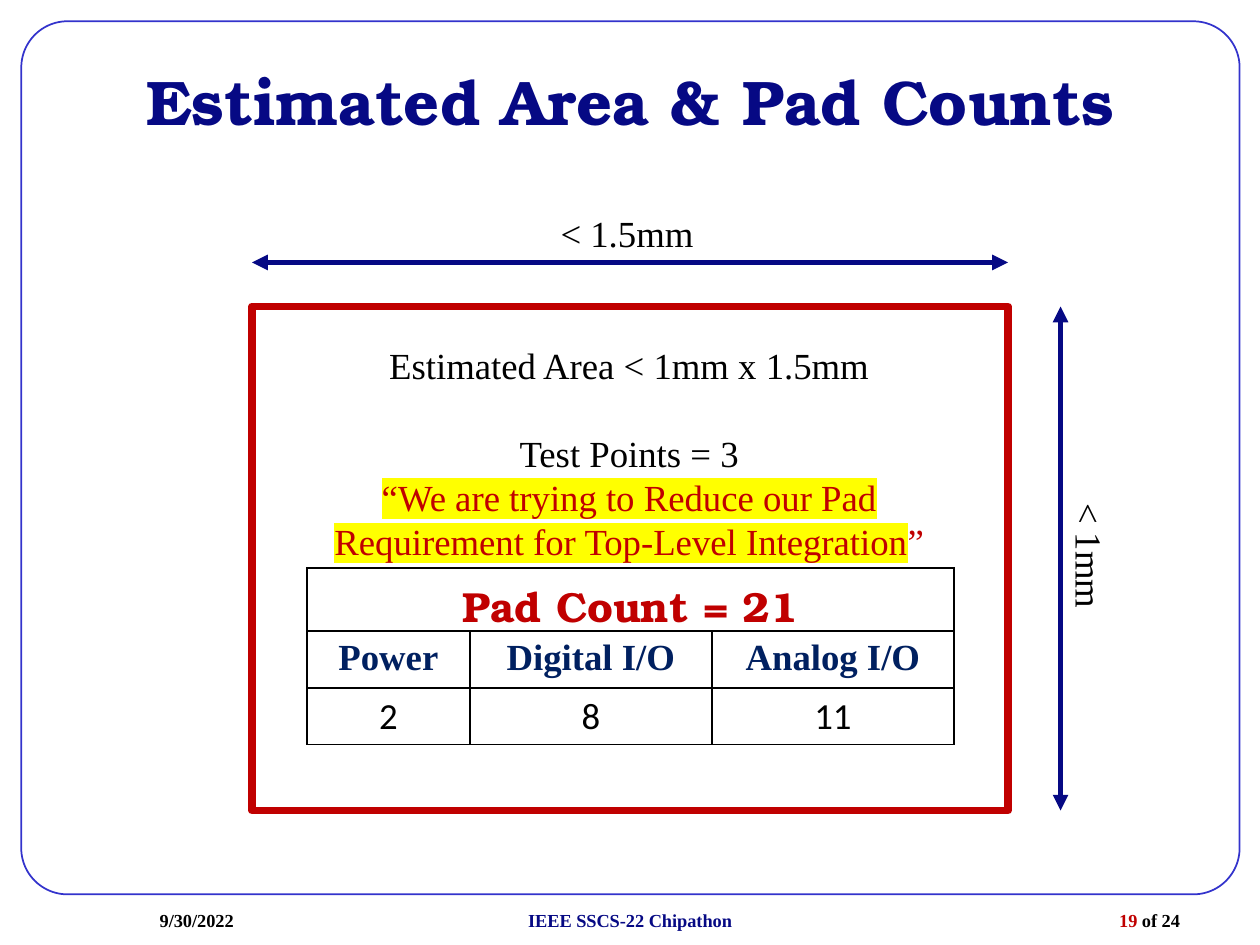
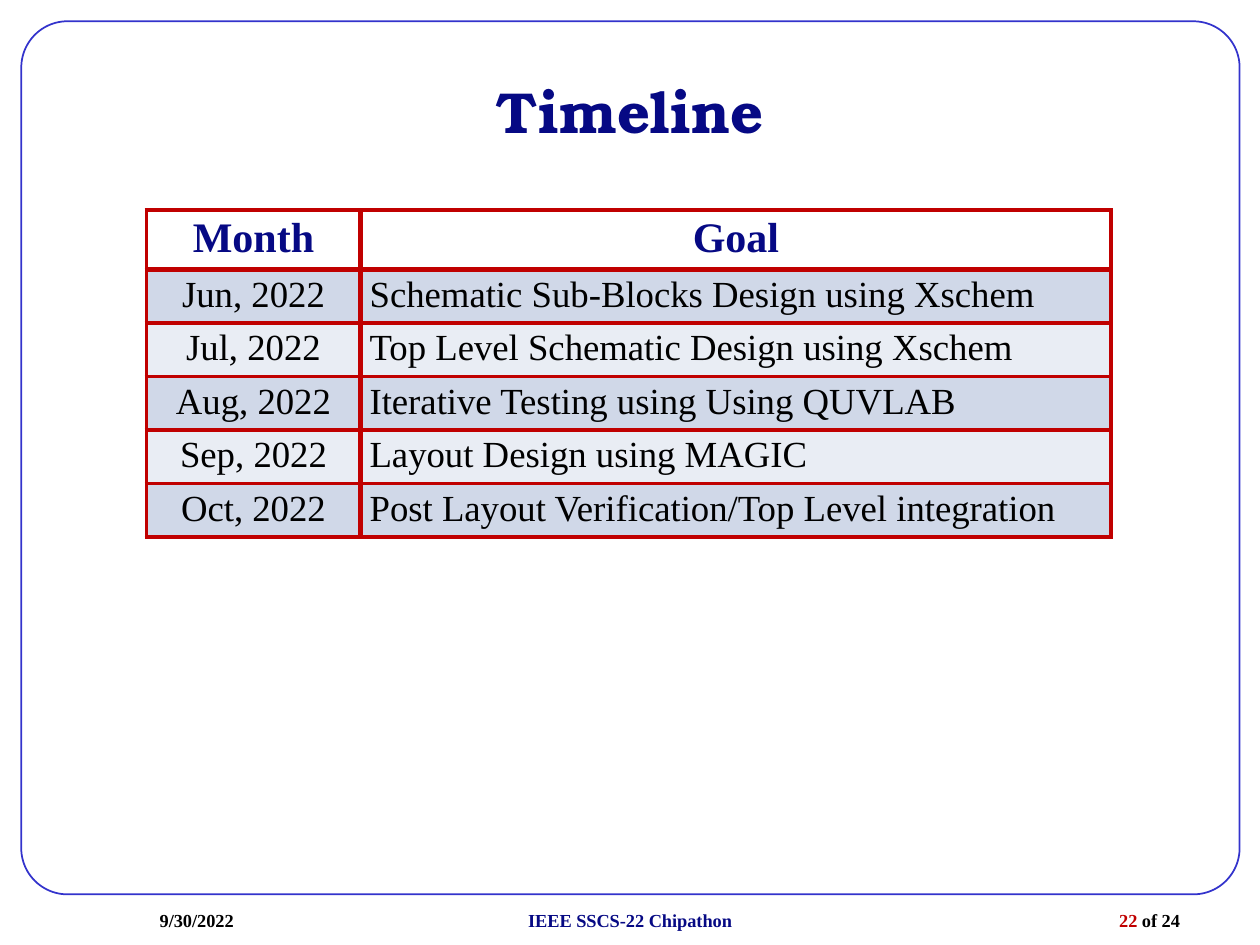
"""Build the area estimate and timeline slides of the chip design deck."""
from dataclasses import dataclass, replace
from typing import Any, NamedTuple, Optional

from lxml.etree import SubElement
from pptx import Presentation
from pptx.dml.color import RGBColor
from pptx.enum.shapes import MSO_CONNECTOR as Connector, MSO_SHAPE as Preset
from pptx.enum.text import MSO_ANCHOR as Anchor, PP_ALIGN as Align
from pptx.oxml.ns import qn
from pptx.util import Cm, Pt


@dataclass(frozen=True)
class Theme:
    navy: str = "060984"
    red: str = "C00000"
    black: str = "000000"
    white: str = "FFFFFF"
    header_blue: str = "002060"
    frame_blue: str = "3333CC"
    yellow: str = "FFFF00"
    bands: tuple[str, str] = ("D0D8E8", "E9EDF4")
    display: str = "TeX Gyre Bonum"
    serif: str = "Times New Roman"
    sans: str = "Calibri"
    title: float = 36
    small_title: float = 33
    heading: float = 24
    body: float = 21
    footer: float = 10.5


THEME = Theme()


@dataclass(frozen=True)
class TextStyle:
    size: float = THEME.body
    color: str = THEME.black
    font: str = THEME.serif
    bold: bool = False
    highlight: Optional[str] = None


TITLE = TextStyle(THEME.title, THEME.navy, THEME.display, True)
BODY = TextStyle()
FOOTER = TextStyle(THEME.footer, bold=True)
HIGHLIGHTED = TextStyle(color=THEME.red, highlight=THEME.yellow)


class Box(NamedTuple):
    left: float
    top: float
    width: float
    height: float

    def lengths(self) -> tuple[Cm, ...]:
        return tuple(Cm(value) for value in self)


class Run(NamedTuple):
    text: str
    style: TextStyle = BODY


class Line(NamedTuple):
    runs: tuple[Run, ...]
    align: Align = Align.LEFT
    space_before: float = 0


class CellSpec(NamedTuple):
    line: Line
    fill: Optional[str] = None


class Border(NamedTuple):
    color: str
    width: float


FRAME = Box(0.43, 0.43, 24.56, 17.6)
TITLE_HEIGHT = 3.18
FOOTER_TOP, FOOTER_HEIGHT = 18.04, 1.02


def set_values(target: Any, values: dict[str, Any]) -> None:
    """Set each named attribute on the target."""
    for name, value in values.items():
        setattr(target, name, value)


def add_run(paragraph: Any, content: Run) -> None:
    """Append a formatted run to the paragraph."""
    style = content.style
    run = paragraph.add_run()
    run.text = content.text
    set_values(run.font, {"name": style.font, "size": Pt(style.size), "bold": style.bold})
    run.font.color.rgb = RGBColor.from_string(style.color)
    if style.highlight:
        properties = run._r.get_or_add_rPr()
        highlight = SubElement(properties, qn("a:highlight"))
        SubElement(highlight, qn("a:srgbClr"), val=style.highlight)
        properties.find(qn("a:solidFill")).addnext(highlight)


def write_lines(text_frame: Any, lines: list[Line]) -> None:
    """Fill the text frame with one paragraph per line."""
    for index, line in enumerate(lines):
        paragraph = text_frame.add_paragraph() if index else text_frame.paragraphs[0]
        set_values(paragraph, {"alignment": line.align, "space_before": Pt(line.space_before)})
        for run in line.runs:
            add_run(paragraph, run)


def add_text(slide: Any, box: Box, lines: list[Line], anchor: Anchor = Anchor.TOP,
             rotation: float = 0) -> None:
    """Add a wrapped text box."""
    shape = slide.shapes.add_textbox(*box.lengths())
    shape.rotation = rotation
    set_values(shape.text_frame, {"word_wrap": True, "vertical_anchor": anchor})
    write_lines(shape.text_frame, lines)


def add_outline(slide: Any, box: Box, border: Border, fill: Optional[str] = None,
                preset: Preset = Preset.RECTANGLE) -> Any:
    """Add an outlined shape, filled only when a colour is given."""
    shape = slide.shapes.add_shape(preset, *box.lengths())
    shape.shadow.inherit = False
    if fill:
        shape.fill.solid()
        shape.fill.fore_color.rgb = RGBColor.from_string(fill)
    else:
        shape.fill.background()
    shape.line.color.rgb = RGBColor.from_string(border.color)
    shape.line.width = Pt(border.width)
    return shape


def add_line(slide: Any, start: tuple[float, float], end: tuple[float, float],
             border: Border, arrows: bool = False) -> None:
    """Add a straight line with optional arrowheads at both ends."""
    points = (Cm(value) for value in (*start, *end))
    connector = slide.shapes.add_connector(Connector.STRAIGHT, *points)
    connector.line.color.rgb = RGBColor.from_string(border.color)
    connector.line.width = Pt(border.width)
    if arrows:
        for tag in ("a:headEnd", "a:tailEnd"):
            SubElement(connector.line._get_or_add_ln(), qn(tag), type="triangle")
    SubElement(connector.element.spPr, qn("a:effectLst"))


def format_cell(cell: Any, content: Optional[CellSpec], border: Border) -> None:
    """Draw the cell's borders, fill and text."""
    properties = cell._tc.get_or_add_tcPr()
    for tag in ("a:lnL", "a:lnR", "a:lnT", "a:lnB"):
        edge = SubElement(properties, qn(tag), w=str(Pt(border.width)))
        SubElement(SubElement(edge, qn("a:solidFill")), qn("a:srgbClr"), val=border.color)
    if content and content.fill:
        cell.fill.solid()
        cell.fill.fore_color.rgb = RGBColor.from_string(content.fill)
    else:
        cell.fill.background()
    if content:
        write_lines(cell.text_frame, [content.line])


def add_grid(slide: Any, left: float, top: float, widths: list[float], heights: list[float],
             rows: list[list[CellSpec]], border: Border,
             margins: Optional[tuple[float, float]] = None) -> Any:
    """Add a bordered table; cells missing from a row stay empty."""
    box = Box(left, top, sum(widths), sum(heights))
    table = slide.shapes.add_table(len(heights), len(widths), *box.lengths()).table
    set_values(table, {"first_row": False, "horz_banding": False})
    for column, width in zip(table.columns, widths):
        column.width = Cm(width)
    for row_index, height in enumerate(heights):
        table.rows[row_index].height = Cm(height)
        for column_index in range(len(widths)):
            cell = table.cell(row_index, column_index)
            if margins:
                side, edge = map(Cm, margins)
                set_values(cell, {"margin_left": side, "margin_right": side,
                                  "margin_top": edge, "margin_bottom": edge})
            row = rows[row_index]
            format_cell(cell, row[column_index] if column_index < len(row) else None, border)
    return table


def centred(text: str, style: TextStyle = BODY, fill: Optional[str] = None) -> CellSpec:
    """Describe a cell with centred text."""
    return CellSpec(Line((Run(text, style),), Align.CENTER), fill)


def add_frame_to_layout(slide: Any) -> None:
    """Draw the rounded frame and move it to the shared layout."""
    frame = add_outline(slide, FRAME, Border(THEME.frame_blue, 1),
                        preset=Preset.ROUNDED_RECTANGLE)
    frame.adjustments[0] = 0.053
    slide.slide_layout.shapes.element.append(frame.element)


def set_title(slide: Any, text: str, top: float, style: TextStyle) -> None:
    """Place and format the title placeholder."""
    title = slide.shapes.title
    box = Box(FRAME.left, top, FRAME.width, TITLE_HEIGHT)
    set_values(title, dict(zip(box._fields, box.lengths())))
    title.text_frame.vertical_anchor = Anchor.MIDDLE
    write_lines(title.text_frame, [Line((Run(text, style),), Align.CENTER)])


def add_footer(slide: Any, number: int) -> None:
    """Add the date, event and page number."""
    parts = [
        (2.97, 4.24, Line((Run("9/30/2022", FOOTER),))),
        (8.68, 8.05, Line((Run("IEEE SSCS-22 Chipathon", replace(FOOTER, color=THEME.navy)),),
                          Align.CENTER)),
        (18.21, 5.92, Line((Run(f"{number} ", replace(FOOTER, color=THEME.red)),
                            Run("of 24 ", FOOTER)), Align.RIGHT)),
    ]
    for left, width, line in parts:
        add_text(slide, Box(left, FOOTER_TOP, width, FOOTER_HEIGHT), [line], Anchor.MIDDLE)


def build_area(slide: Any) -> None:
    """Build the chip area sketch with its pad count table."""
    set_title(slide, "Estimated Area & Pad Counts", FRAME.top, TITLE)
    chip = Box(5.08, 6.18, 15.24, 10.16)
    add_outline(slide, chip, Border(THEME.red, 4.5), THEME.white)
    note = (Run("“We are trying to Reduce our Pad Requirement for Top-Level Integration",
                HIGHLIGHTED), Run("”", replace(HIGHLIGHTED, highlight=None)))
    paragraphs = [((Run("Estimated Area < 1mm x 1.5mm"),), 0),
                  ((Run("Test Points = 3"),), 25), (note, 0)]
    add_text(slide, Box(6.17, 6.78, 13.03, 4.75),
             [Line(runs, Align.CENTER, gap) for runs, gap in paragraphs])

    count = TextStyle(THEME.heading, THEME.red, THEME.display, True)
    header = TextStyle(color=THEME.header_blue, bold=True)
    number = TextStyle(font=THEME.sans)
    rows = [[centred("Pad Count = 21", count)],
            [centred(text, header) for text in ("Power", "Digital I/O", "Analog I/O")],
            [centred(text, number) for text in ("2", "8", "11")]]
    table = add_grid(slide, 6.19, 11.45, [3.28, 4.88, 4.88], [1.27, 1.14, 1.14], rows,
                     Border(THEME.black, 1))
    table.cell(0, 0).merge(table.cell(0, 2))

    dimension = Border(THEME.navy, 3)
    right, bottom = chip.left + chip.width, chip.top + chip.height
    add_line(slide, (21.38, chip.top), (21.38, bottom), dimension, arrows=True)
    add_line(slide, (chip.left, 5.29), (right, 5.29), dimension, arrows=True)
    add_text(slide, Box(11.05, 4.13, 3.28, 1.14), [Line((Run("< 1.5mm"),))])
    add_text(slide, Box(20.61, 10.69, 2.74, 1.14), [Line((Run("< 1mm"),))], rotation=90)


def build_timeline(slide: Any) -> None:
    """Build the monthly goal table."""
    set_title(slide, "Timeline", 0.64, replace(TITLE, size=THEME.small_title))
    goals = [
        ("Jun, 2022", "Schematic Sub-Blocks Design using Xschem"),
        ("Jul, 2022", "Top Level Schematic Design using Xschem"),
        ("Aug, 2022", "Iterative Testing using Using QUVLAB"),
        ("Sep, 2022", "Layout Design using MAGIC"),
        ("Oct, 2022", "Post Layout Verification/Top Level integration"),
    ]
    header = TextStyle(THEME.heading, THEME.navy, bold=True)
    rows = [[centred(text, header, THEME.white) for text in ("Month", "Goal")]]
    for index, (month, goal) in enumerate(goals):
        band = THEME.bands[index % 2]
        rows.append([centred(month, fill=band), CellSpec(Line((Run(goal),)), band)])
    left, top, widths = 2.95, 4.23, [4.32, 15.13]
    heights = [1.2] + [1.08] * len(goals)
    add_grid(slide, left, top, widths, heights, rows, Border(THEME.red, 2.25), (0.18, 0.1))

    outline = Box(left, top, sum(widths), sum(heights))
    add_outline(slide, outline, Border(THEME.red, 2))
    rule = Border(THEME.red, 2.5)
    divider, header_bottom = left + widths[0], top + heights[0]
    add_line(slide, (divider, top), (divider, top + outline.height), rule)
    add_line(slide, (left + outline.width, header_bottom), (left, header_bottom), rule)


def main() -> None:
    """Create and save the presentation."""
    presentation = Presentation()
    set_values(presentation, {"slide_width": Cm(25.4), "slide_height": Cm(19.05)})
    layout = presentation.slide_layouts[5]
    for number, build in ((19, build_area), (22, build_timeline)):
        slide = presentation.slides.add_slide(layout)
        if len(presentation.slides) == 1:
            add_frame_to_layout(slide)
        build(slide)
        add_footer(slide, number)
    presentation.save("out.pptx")


if __name__ == "__main__":
    main()
